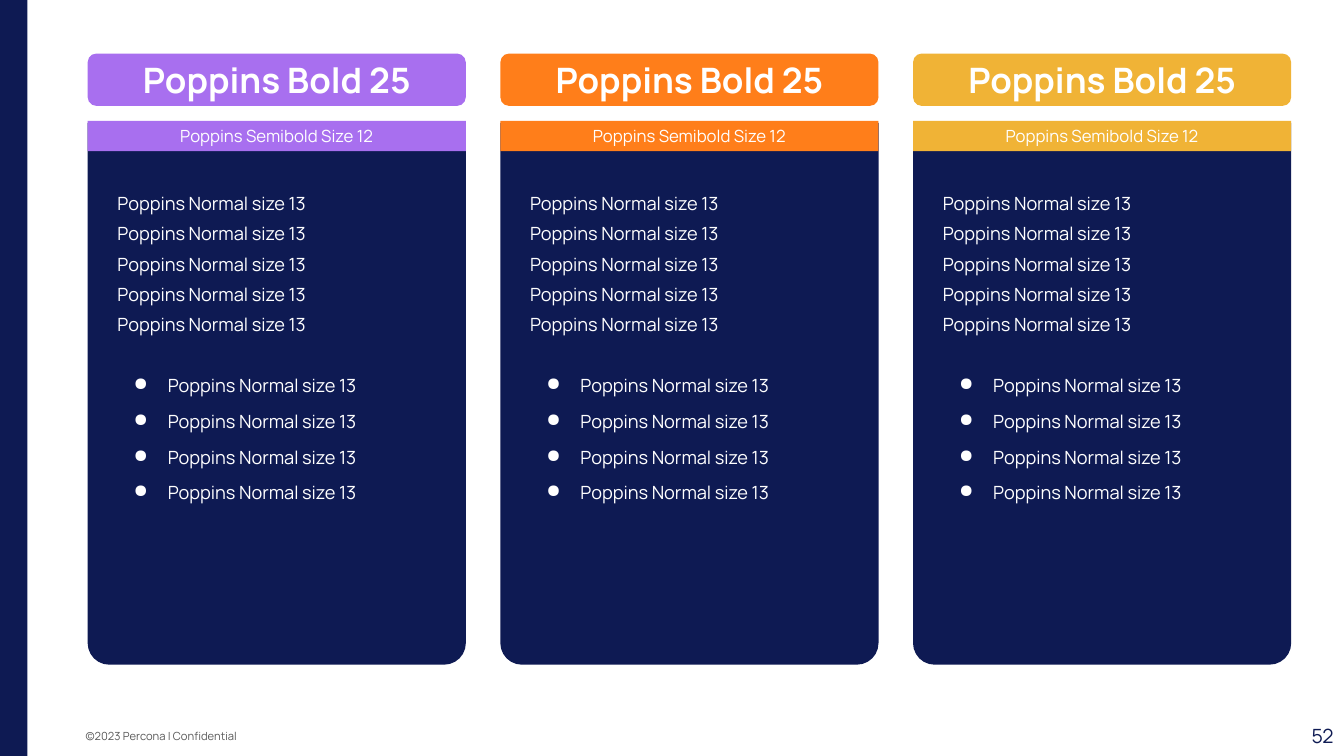
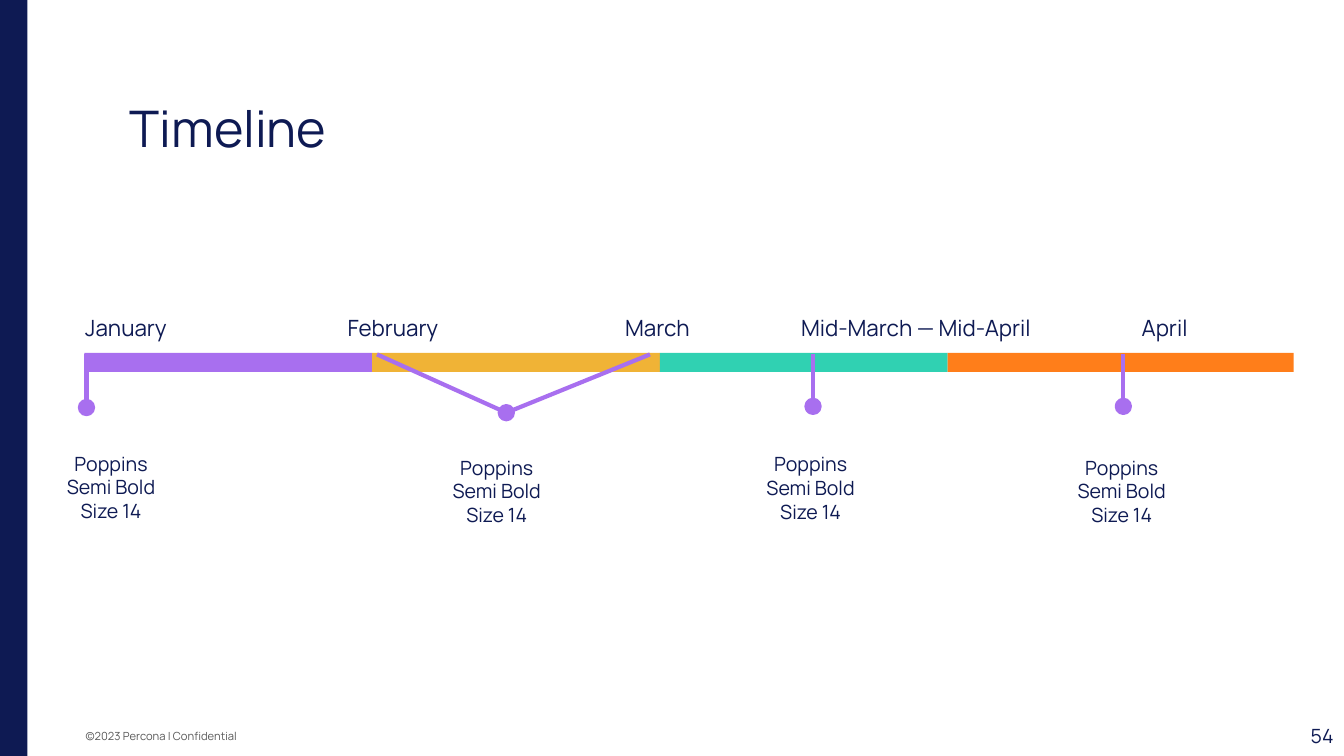
"""Build a three-column card slide and a timeline slide."""
from lxml import etree
from pptx import Presentation
from pptx.dml.color import RGBColor
from pptx.enum.shapes import MSO_CONNECTOR, MSO_SHAPE
from pptx.enum.text import MSO_ANCHOR, MSO_AUTO_SIZE, PP_ALIGN
from pptx.oxml.ns import qn
from pptx.util import Cm, Pt

RECT = MSO_SHAPE.RECTANGLE
ROUNDED = MSO_SHAPE.ROUNDED_RECTANGLE
ROUND_ENDS = MSO_SHAPE.ROUND_2_SAME_RECTANGLE
OVAL = MSO_SHAPE.OVAL
STRAIGHT = MSO_CONNECTOR.STRAIGHT
TOP, MIDDLE = MSO_ANCHOR.TOP, MSO_ANCHOR.MIDDLE
NO_FIT = MSO_AUTO_SIZE.NONE
LEFT, CENTER, RIGHT = PP_ALIGN.LEFT, PP_ALIGN.CENTER, PP_ALIGN.RIGHT

FONT = "Manrope"
COLORS = {
    "navy": "0E1A53",
    "purple": "A86FEF",
    "orange": "FF7E1A",
    "yellow": "F0B336",
    "teal": "30D1B2",
    "gray": "595959",
    "white": "FFFFFF",
}
SLIDE_WIDTH, SLIDE_HEIGHT = 33.87, 19.05
TITLE_ONLY, BLANK = 5, 6

CARD_COLORS = ["purple", "orange", "yellow"]
CARD_LEFT, CARD_PITCH, CARD_WIDTH = 2.21, 10.4, 9.53
CARD_LINE = "Poppins Normal size 13"
PLAIN_LINES, BULLET_LINES = 5, 4

PERIOD_COLORS = ["purple", "yellow", "teal", "orange"]
PERIOD_LEFT, PERIOD_PITCH, PERIOD_TOP = 2.13, 7.25, 8.89
TIMELINE_RIGHT = 32.6
MONTHS = [
    ("January", 0.84, 4.67),
    ("February", 7.57, 4.67),
    ("March", 14.6, 3.94),
    ("Mid-March — Mid-April", 19.02, 8.13),
    ("April", 26.77, 5.16),
]
MILESTONES = [
    (2.18, 10.27, [2.18], 2.8, 11.05),
    (12.76, 10.4, [9.5, 16.38], 12.52, 11.15),
    (20.49, 10.24, [20.49], 20.43, 11.07),
    (28.31, 10.24, [28.31], 28.27, 11.15),
]
MILESTONE_TEXT = "Poppins\vSemi Bold\vSize 14"
CAPTION_WIDTH, DOT_SIZE = 4, 0.33


def rgb(color):
    """Return the named colour."""
    return RGBColor.from_string(COLORS[color])


def style(paragraph, size, color, align=LEFT, bold=False):
    """Set alignment and font of one paragraph."""
    paragraph.alignment = align
    paragraph.font.name = FONT
    paragraph.font.size = Pt(size)
    paragraph.font.bold = bold
    paragraph.font.color.rgb = rgb(color)


def set_frame(frame, anchor, inset_x, inset_y):
    """Set wrapping, anchor and insets of a text frame."""
    frame.word_wrap = True
    frame.auto_size = NO_FIT
    frame.vertical_anchor = anchor
    frame.margin_left = frame.margin_right = Cm(inset_x)
    frame.margin_top = frame.margin_bottom = Cm(inset_y)


def add_block(slide, kind, box, color, adjustments=()):
    """Add a filled shape without outline."""
    block = slide.shapes.add_shape(kind, *map(Cm, box))
    block.shadow.inherit = False
    block.fill.solid()
    block.fill.fore_color.rgb = rgb(color)
    block.line.fill.background()
    for index, value in enumerate(adjustments):
        block.adjustments[index] = value
    return block


def add_banner(slide, kind, box, color, text, size, bold=False, adjustments=()):
    """Add a filled shape with centred white text."""
    frame = add_block(slide, kind, box, color, adjustments).text_frame
    set_frame(frame, MIDDLE, 0.25, 0)
    frame.text = text
    style(frame.paragraphs[0], size, "white", CENTER, bold)


def add_label(slide, box, text, size, color, align=LEFT, anchor=TOP, inset=0.25):
    """Add a one-paragraph text box and return its paragraph."""
    frame = slide.shapes.add_textbox(*map(Cm, box)).text_frame
    set_frame(frame, anchor, inset, inset)
    label = frame.paragraphs[0]
    label.text = text
    style(label, size, color, align)
    return label


def add_bullet(paragraph, color):
    """Give a paragraph a hanging round bullet."""
    properties = paragraph._p.get_or_add_pPr()
    properties.set("marL", str(Cm(1.27)))
    properties.set("indent", str(Cm(-0.86)))
    bullet_color = etree.SubElement(properties, qn("a:buClr"))
    etree.SubElement(bullet_color, qn("a:srgbClr"), val=COLORS[color])
    etree.SubElement(properties, qn("a:buChar"), char="●")


def add_card_text(slide, box):
    """Add the plain lines and the bulleted lines of a card."""
    frame = slide.shapes.add_textbox(*map(Cm, box)).text_frame
    set_frame(frame, TOP, 0.25, 0.25)
    gaps = [0] + [6] * (PLAIN_LINES - 1) + [27.6] + [10] * (BULLET_LINES - 1)
    for index, gap in enumerate(gaps):
        line = frame.add_paragraph() if index else frame.paragraphs[0]
        line.text = CARD_LINE
        line.space_before = Pt(gap)
        if index >= PLAIN_LINES:
            add_bullet(line, "white")
        style(line, 13, "white")


def add_card(slide, left, color):
    """Add one column: heading, body, strip and text."""
    add_banner(slide, ROUNDED, (left, 1.35, CARD_WIDTH, 1.32), color,
               "Poppins Bold 25", 25, True, [0.167])
    add_block(slide, ROUND_ENDS, (left, 3.1, CARD_WIDTH, 13.65), "navy", [0, 0.057])
    add_banner(slide, RECT, (left, 3.05, CARD_WIDTH, 0.76), color,
               "Poppins Semibold Size 12", 12)
    add_card_text(slide, (left + 0.5, 4.6, 8.51, 9.35))


def add_stem(slide, start, end):
    """Add a purple line from the timeline to a dot."""
    stem = slide.shapes.add_connector(STRAIGHT, *map(Cm, (*start, *end)))
    stem.line.color.rgb = rgb("purple")
    stem.line.width = Pt(3)
    etree.SubElement(stem._element.spPr, qn("a:effectLst"))


def add_milestone(slide, dot_x, dot_y, starts, caption_x, caption_top):
    """Add a dot with its stems and caption."""
    for start in starts:
        add_stem(slide, (start, PERIOD_TOP + 0.04), (dot_x, dot_y))
    corner = (dot_x - DOT_SIZE / 2, dot_y - DOT_SIZE / 2)
    dot = add_block(slide, OVAL, (*corner, DOT_SIZE, DOT_SIZE), "purple")
    dot.line.color.rgb = rgb("purple")
    dot.line.width = Pt(3)
    caption_box = (caption_x - CAPTION_WIDTH / 2, caption_top, CAPTION_WIDTH, 3.5)
    add_label(slide, caption_box, MILESTONE_TEXT, 14, "navy", CENTER, inset=0.33)


def add_title(slide, text):
    """Place and format the title placeholder."""
    title = slide.shapes.title
    title.left, title.top, title.width, title.height = map(Cm, (3.02, 2.11, 28.04, 2.39))
    set_frame(title.text_frame, MIDDLE, 0.25, 0.13)
    title.text_frame.text = text
    heading = title.text_frame.paragraphs[0]
    heading.line_spacing = 0.9
    style(heading, 36, "navy")


def add_slide(deck, layout, number):
    """Add a slide with the side band, footer and page number."""
    slide = deck.slides.add_slide(deck.slide_layouts[layout])
    add_block(slide, RECT, (0, 0, 0.69, SLIDE_HEIGHT), "navy")
    add_label(slide, (1.91, 18.19, 12.37, 0.74), "©2023 Percona | Confidential",
              8, "gray", anchor=MIDDLE)
    add_label(slide, (29.62, 18.03, 4.24, 1.02), str(number),
              14, "navy", RIGHT, MIDDLE)
    return slide


def build_cards(deck):
    """Build the slide with three columns."""
    slide = add_slide(deck, BLANK, 52)
    for index, color in enumerate(CARD_COLORS):
        add_card(slide, CARD_LEFT + index * CARD_PITCH, color)


def build_timeline(deck):
    """Build the timeline slide."""
    slide = add_slide(deck, TITLE_ONLY, 54)
    add_title(slide, "Timeline")
    lefts = [PERIOD_LEFT + index * PERIOD_PITCH for index in range(len(PERIOD_COLORS))]
    for left, right, color in zip(lefts, lefts[1:] + [TIMELINE_RIGHT], PERIOD_COLORS):
        add_block(slide, RECT, (left, PERIOD_TOP, right - left, 0.48), color)
    for month, left, width in MONTHS:
        label = add_label(slide, (left, 7.49, width, 1.37), month, 16, "navy",
                          CENTER, inset=0.33)
        label.line_spacing = 1.15
    for milestone in MILESTONES:
        add_milestone(slide, *milestone)


def main():
    """Build and save the presentation."""
    deck = Presentation()
    deck.slide_width, deck.slide_height = Cm(SLIDE_WIDTH), Cm(SLIDE_HEIGHT)
    build_cards(deck)
    build_timeline(deck)
    deck.save("out.pptx")


if __name__ == "__main__":
    main()
